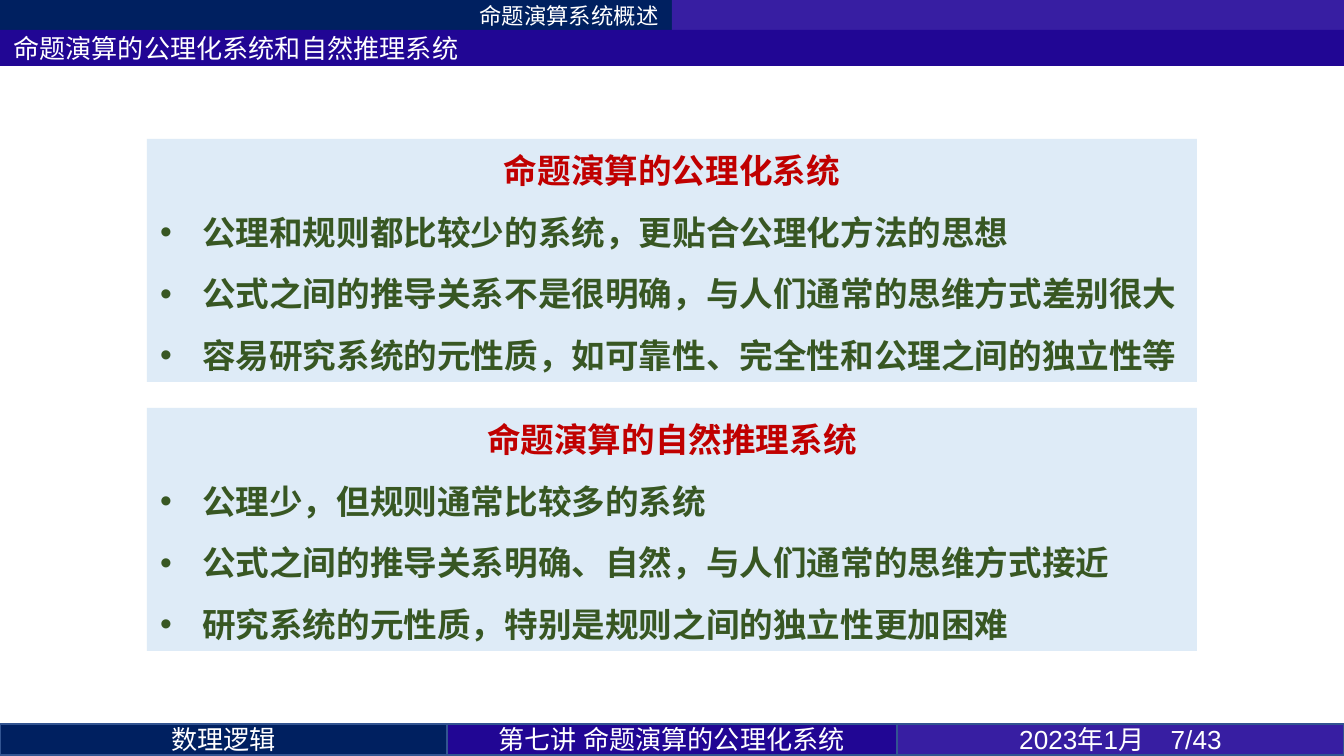
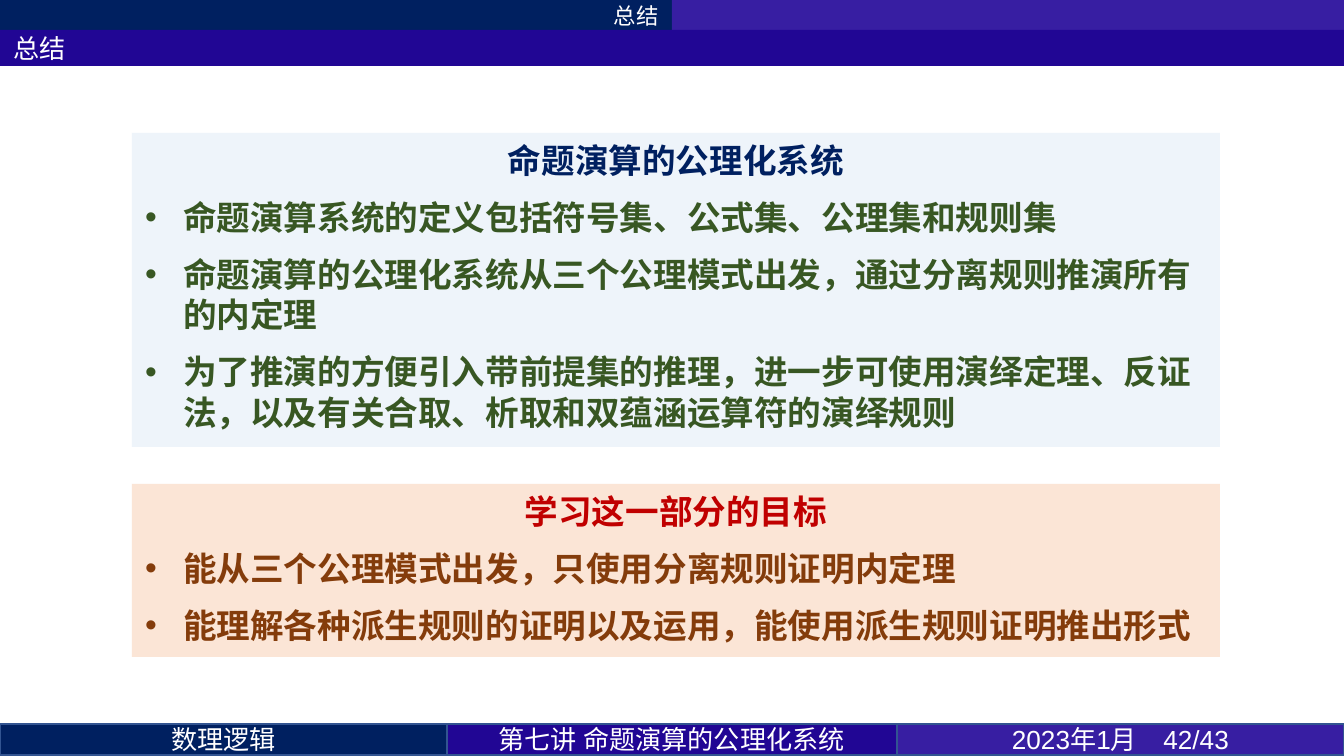
import dataclasses

import lxml.etree
import pptx
import pptx.dml.color
import pptx.enum.shapes
import pptx.enum.text
import pptx.oxml.ns
import pptx.util

ALIGN = pptx.enum.text.PP_ALIGN
ANCHOR = pptx.enum.text.MSO_ANCHOR
PX = 914400 / 134.4
SLIDE_WIDTH, SLIDE_HEIGHT = 1344, 756


@dataclasses.dataclass(frozen=True)
class Theme:
    navy: str = "002060"
    indigo: str = "210694"
    violet: str = "371EA2"
    footer_line: str = "325491"
    white: str = "FFFFFF"
    red: str = "C00000"
    green: str = "385723"
    brown: str = "843C0B"
    pale_blue: str = "DEEBF7"
    pale_orange: str = "FBE5D6"
    latin: str = "Calibri"
    digits: str = "Arial"
    chinese: str = "Noto Sans CJK SC"
    section_size: int = 12
    band_size: int = 14
    panel_size: int = 18


THEME = Theme()


@dataclasses.dataclass(frozen=True)
class PanelStyle:
    indent: int
    before: float
    after: float
    bullet_font: str
    line_height: int | None = None


@dataclasses.dataclass(frozen=True)
class Panel:
    heading: str
    bullets: tuple
    height: int
    fill: str = THEME.pale_blue
    opacity: int = 100
    heading_color: str = THEME.red
    bullet_color: str = THEME.green
    heading_before: float | None = None


def px(length):
    return pptx.util.Emu(round(length * PX))


def rgb(color):
    return pptx.dml.color.RGBColor.from_string(color)


def add_child(parent, tag, **attributes):
    child = lxml.etree.SubElement(parent, pptx.oxml.ns.qn(tag))
    for name, value in attributes.items():
        child.set(name, value)


def add_rectangle(slide, left, top, width, height, fill, line=None, opacity=100):
    kind = pptx.enum.shapes.MSO_SHAPE.RECTANGLE
    shape = slide.shapes.add_shape(kind, px(left), px(top), px(width), px(height))
    shape.shadow.inherit = False
    shape.fill.solid()
    shape.fill.fore_color.rgb = rgb(fill)
    if opacity < 100:
        color = shape.fill._xPr.find(".//" + pptx.oxml.ns.qn("a:srgbClr"))
        add_child(color, "a:alpha", val=str(opacity * 1000))
    if line:
        shape.line.color.rgb = rgb(line)
        shape.line.width = pptx.util.Pt(1)
    else:
        shape.line.fill.background()
    shape.text_frame.word_wrap = True
    return shape


def add_run(paragraph, text, size, font, color, bold=False):
    run = paragraph.add_run()
    run.text = text
    run.font.size = pptx.util.Pt(size)
    run.font.bold = bold
    run.font.color.rgb = rgb(color)
    run.font.name = font
    add_child(run.font._element, "a:ea", typeface=THEME.chinese)


def add_band(slide, box, fill, text, size, font, align, line=None):
    shape = add_rectangle(slide, *box, fill, line)
    shape.text_frame.vertical_anchor = ANCHOR.MIDDLE
    paragraph = shape.text_frame.paragraphs[0]
    paragraph.alignment = align
    add_run(paragraph, text, size, font, THEME.white)


def add_header(slide, section, title):
    half = SLIDE_WIDTH // 2
    add_band(slide, (0, 0, half, 31), THEME.navy, section,
             THEME.section_size, THEME.chinese, ALIGN.RIGHT)
    add_rectangle(slide, half, 0, half, 31, THEME.violet)
    add_band(slide, (0, 30, SLIDE_WIDTH, 36), THEME.indigo, title,
             THEME.band_size, THEME.latin, ALIGN.LEFT)


def add_footer(slide, page):
    cells = (
        (447, THEME.navy, THEME.chinese, "数理逻辑"),
        (450, THEME.indigo, THEME.chinese, "第七讲 命题演算的公理化系统"),
        (447, THEME.violet, THEME.digits, f"2023年1月　{page}/43"),
    )
    left = 0
    for width, fill, font, text in cells:
        add_band(slide, (left, 724, width, 31), fill, text,
                 THEME.band_size, font, ALIGN.CENTER, THEME.footer_line)
        left += width


def format_paragraph(paragraph, style, align, before):
    paragraph.alignment = align
    paragraph.space_before = pptx.util.Pt(before)
    paragraph.space_after = pptx.util.Pt(style.after)
    if style.line_height:
        paragraph.line_spacing = pptx.util.Pt(style.line_height)


def add_bullet(paragraph, indent):
    properties = paragraph._p.get_or_add_pPr()
    properties.set("marL", str(px(indent)))
    properties.set("indent", str(-px(indent)))
    add_child(properties, "a:buFont", typeface=THEME.digits)
    add_child(properties, "a:buChar", char="•")


def add_panel(slide, left, top, width, panel, style):
    shape = add_rectangle(slide, left, top, width, panel.height, panel.fill,
                          opacity=panel.opacity)
    frame = shape.text_frame
    frame.auto_size = pptx.enum.text.MSO_AUTO_SIZE.SHAPE_TO_FIT_TEXT
    frame.vertical_anchor = ANCHOR.TOP
    heading = frame.paragraphs[0]
    before = style.before if panel.heading_before is None else panel.heading_before
    format_paragraph(heading, style, ALIGN.CENTER, before)
    add_run(heading, panel.heading, THEME.panel_size, THEME.latin,
            panel.heading_color, bold=True)
    for text in panel.bullets:
        paragraph = frame.add_paragraph()
        format_paragraph(paragraph, style, ALIGN.LEFT, style.before)
        add_bullet(paragraph, style.indent)
        add_run(paragraph, text, THEME.panel_size, style.bullet_font,
                panel.bullet_color, bold=True)


def add_panels(slide, left, top, width, gap, style, panels):
    for panel in panels:
        add_panel(slide, left, top, width, panel, style)
        top += panel.height + gap


def add_slide(presentation, section, title, page):
    slide = presentation.slides.add_slide(presentation.slide_layouts[6])
    add_header(slide, section, title)
    add_footer(slide, page)
    return slide


def add_systems_slide(presentation):
    slide = add_slide(presentation, "命题演算系统概述",
                      "命题演算的公理化系统和自然推理系统", 7)
    style = PanelStyle(indent=42, before=6, after=3,
                       bullet_font=THEME.latin, line_height=24)
    axiomatic = Panel("命题演算的公理化系统", (
        "公理和规则都比较少的系统，更贴合公理化方法的思想",
        "公式之间的推导关系不是很明确，与人们通常的思维方式差别很大",
        "容易研究系统的元性质，如可靠性、完全性和公理之间的独立性等",
    ), height=243)
    natural = Panel("命题演算的自然推理系统", (
        "公理少，但规则通常比较多的系统",
        "公式之间的推导关系明确、自然，与人们通常的思维方式接近",
        "研究系统的元性质，特别是规则之间的独立性更加困难",
    ), height=243)
    add_panels(slide, 147, 139, 1050, 26, style, (axiomatic, natural))


def add_summary_slide(presentation):
    slide = add_slide(presentation, "总结", "总结", 42)
    style = PanelStyle(indent=38, before=4.5, after=4.5, bullet_font=THEME.chinese)
    summary = Panel("命题演算的公理化系统", (
        "命题演算系统的定义包括符号集、公式集、公理集和规则集",
        "命题演算的公理化系统从三个公理模式出发，通过分离规则推演所有的内定理",
        "为了推演的方便引入带前提集的推理，进一步可使用演绎定理、反证法，"
        "以及有关合取、析取和双蕴涵运算符的演绎规则",
    ), height=314, opacity=50, heading_color=THEME.navy)
    goals = Panel("学习这一部分的目标", (
        "能从三个公理模式出发，只使用分离规则证明内定理",
        "能理解各种派生规则的证明以及运用，能使用派生规则证明推出形式",
    ), height=173, fill=THEME.pale_orange, bullet_color=THEME.brown, heading_before=0)
    add_panels(slide, 132, 133, 1088, 37, style, (summary, goals))


def main():
    presentation = pptx.Presentation()
    presentation.slide_width = px(SLIDE_WIDTH)
    presentation.slide_height = px(SLIDE_HEIGHT)
    add_systems_slide(presentation)
    add_summary_slide(presentation)
    presentation.save("out.pptx")


if __name__ == "__main__":
    main()
